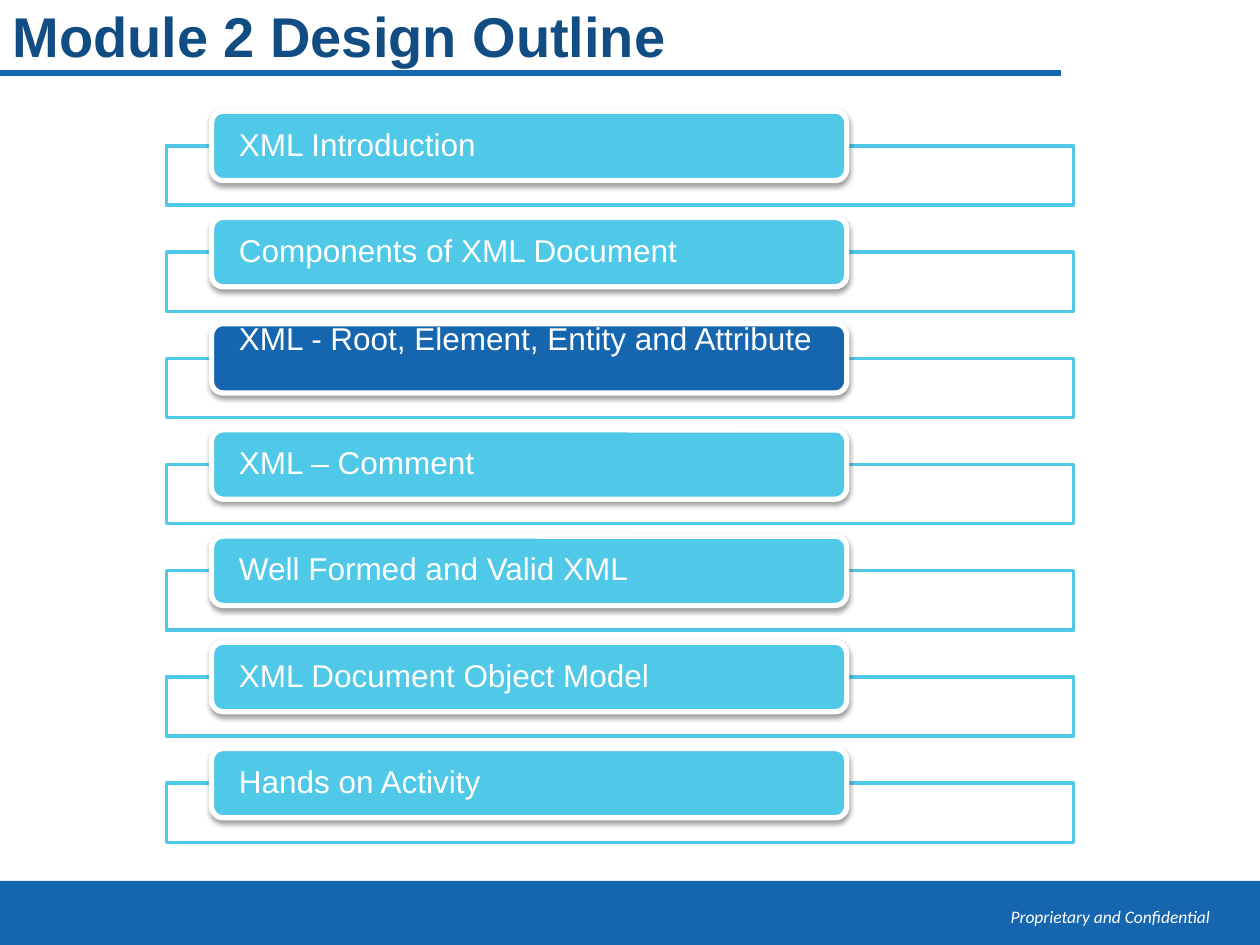
from dataclasses import dataclass

from lxml.etree import SubElement
from pptx import Presentation
from pptx.dml.color import RGBColor
from pptx.enum.shapes import MSO_CONNECTOR, MSO_SHAPE
from pptx.enum.text import MSO_ANCHOR, PP_ALIGN
from pptx.oxml.ns import qn
from pptx.shapes.autoshape import Shape
from pptx.slide import Slide
from pptx.util import Inches, Length, Pt

NAVY = RGBColor(0x11, 0x4C, 0x83)
BLUE = RGBColor(0x16, 0x66, 0xAF)
SKY = RGBColor(0x50, 0xC8, 0xE8)
WHITE = RGBColor(0xFF, 0xFF, 0xFF)

# The page is a grid of 100 columns by 75 rows with square cells
COLUMNS, ROWS = 100, 75
CELL = Inches(10) / COLUMNS
FIRST_TOPIC, TOPIC_PITCH = 8.83, 8.43


@dataclass(frozen=True)
class Area:
    column: float
    row: float
    columns: float
    rows: float

    def lengths(self) -> tuple[Length, ...]:
        return tuple(grid(n) for n in (self.column, self.row, self.columns, self.rows))


@dataclass(frozen=True)
class Style:
    font: str
    size: float
    color: RGBColor
    bold: bool = False
    italic: bool = False
    align: PP_ALIGN = PP_ALIGN.LEFT
    spacing: float = 1.0


@dataclass(frozen=True)
class Topic:
    title: str
    fill: RGBColor = SKY
    lift: float = 0  # rows the text sits above the middle


TITLE = Style("Arial", 32, NAVY, bold=True, spacing=0.88)
LABEL = Style("Arial", 18, WHITE, spacing=0.9)
FOOTER = Style("Calibri", 10, WHITE, italic=True, align=PP_ALIGN.RIGHT)

TOPICS = (
    Topic("XML Introduction"),
    Topic("Components of XML Document"),
    Topic("XML - Root, Element, Entity and Attribute", BLUE, lift=1.4),
    Topic("XML – Comment"),
    Topic("Well Formed and Valid XML"),
    Topic("XML Document Object Model"),
    Topic("Hands on Activity"),
)


def grid(cells: float) -> Length:
    return Length(round(cells * CELL))


def write(box: Shape, text: str, style: Style) -> None:
    frame = box.text_frame
    frame.word_wrap = True
    frame.vertical_anchor = MSO_ANCHOR.MIDDLE
    para = frame.paragraphs[0]
    para.alignment = style.align
    para.line_spacing = style.spacing
    span = para.add_run()
    span.text = text
    font = span.font
    font.name, font.size = style.font, Pt(style.size)
    font.bold, font.italic = style.bold, style.italic
    font.color.rgb = style.color


def add_text(page: Slide, area: Area, text: str, style: Style) -> None:
    write(page.shapes.add_textbox(*area.lengths()), text, style)


def add_block(page: Slide, kind: MSO_SHAPE, area: Area, fill: RGBColor,
              line: RGBColor | None = None, width: float = 0) -> Shape:
    block = page.shapes.add_shape(kind, *area.lengths())
    block.shadow.inherit = False
    block.fill.solid()
    block.fill.fore_color.rgb = fill
    if line is None:
        block.line.fill.background()
    else:
        block.line.color.rgb = line
        block.line.width = Pt(width)
    return block


def set_opacity(block: Shape, percent: int) -> None:
    color = block.fill._xPr.find(qn("a:solidFill"))[0]
    SubElement(color, qn("a:alpha"), val=str(percent * 1000))


def add_drop_shadow(block: Shape) -> None:
    effects = block._element.spPr.find(qn("a:effectLst"))
    shadow = SubElement(effects, qn("a:outerShdw"), blurRad=str(Pt(3.1)),
                        dist=str(Pt(1.6)), dir="5400000", rotWithShape="0")
    color = SubElement(shadow, qn("a:srgbClr"), val="000000")
    SubElement(color, qn("a:alpha"), val="38000")


def add_topic(page: Slide, row: float, topic: Topic) -> None:
    frame = add_block(page, MSO_SHAPE.RECTANGLE, Area(13.2, row + 2.75, 72, 4.7), WHITE, SKY, 2)
    set_opacity(frame, 90)
    label = add_block(page, MSO_SHAPE.ROUNDED_RECTANGLE, Area(16.8, row, 50.4, 5.5),
                      topic.fill, WHITE, 3)
    add_drop_shadow(label)
    text = label.text_frame
    text.margin_left = text.margin_right = grid(1.9)
    text.margin_top, text.margin_bottom = 0, grid(2 * topic.lift)
    write(label, topic.title, LABEL)


def add_rule(page: Slide, row: float, columns: float) -> None:
    rule = page.shapes.add_connector(MSO_CONNECTOR.STRAIGHT, 0, grid(row), grid(columns), grid(row))
    rule.line.color.rgb = BLUE
    rule.line.width = Pt(3)
    SubElement(rule._element.spPr, qn("a:effectLst"))


def main() -> None:
    deck = Presentation()
    deck.slide_width, deck.slide_height = grid(COLUMNS), grid(ROWS)
    page = deck.slides.add_slide(deck.slide_layouts[6])

    # Footer band
    add_block(page, MSO_SHAPE.RECTANGLE, Area(0, 69.9, COLUMNS, 5.1), BLUE)
    add_text(page, Area(73.5, 71.1, 23.5, 3.2), "Proprietary and Confidential", FOOTER)

    # Title with its rule
    add_rule(page, 5.8, 84.2)
    add_text(page, Area(0, 0.8, 75, 4.7), "Module 2 Design Outline", TITLE)

    # Topic list
    for index, topic in enumerate(TOPICS):
        add_topic(page, FIRST_TOPIC + index * TOPIC_PITCH, topic)

    deck.save("out.pptx")


if __name__ == "__main__":
    main()
